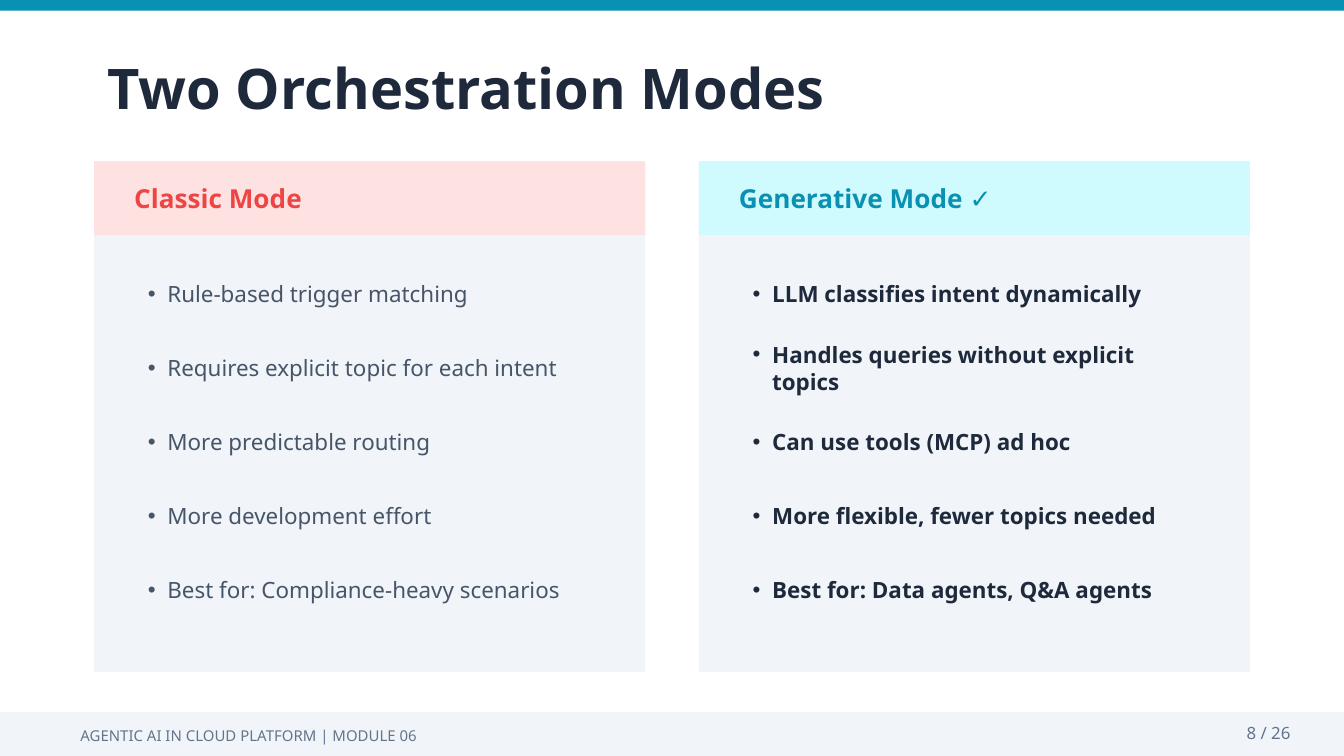
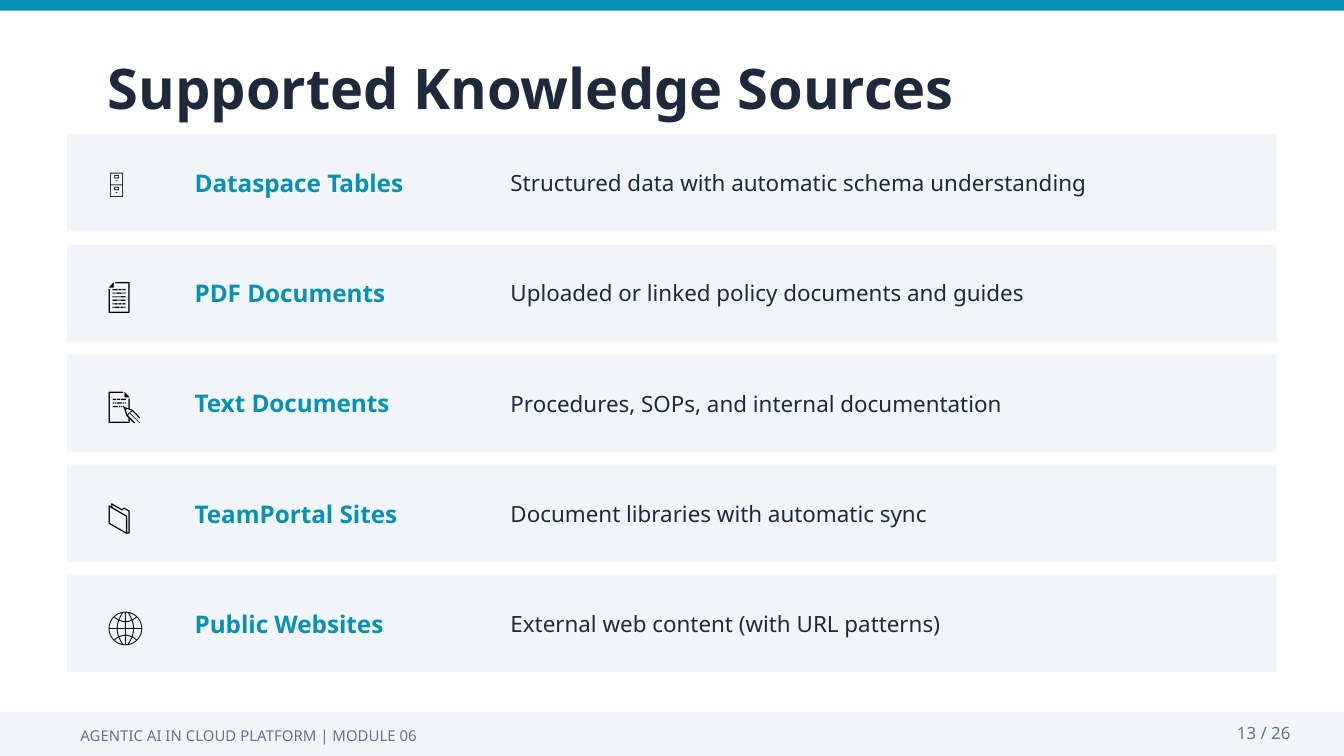
from pptx import Presentation
from pptx.dml.color import RGBColor
from pptx.enum.shapes import MSO_SHAPE
from pptx.enum.text import MSO_ANCHOR, MSO_AUTO_SIZE, PP_ALIGN
from pptx.util import Pt

WIDE, HIGH = 720, 405
PAGES = 26
COLORS = {
    "accent": "0891B2", "dark": "1E293B", "panel": "F1F5F9", "muted": "64748B",
    "slate": "475569", "red": "EF4444", "rose": "FEE2E2", "cyan": "CFFAFE",
    "black": "000000",
}
FRAME = {"word_wrap": True, "auto_size": MSO_AUTO_SIZE.NONE,
         "vertical_anchor": MSO_ANCHOR.MIDDLE}
FONTS = {
    "title": {"size": Pt(30), "bold": True, "name": "Noto Sans"},
    "head": {"size": Pt(14), "bold": True, "name": "Noto Sans"},
    "label": {"size": Pt(13), "bold": True, "name": "Noto Sans"},
    "strong": {"size": Pt(12), "bold": True, "name": "Noto Sans"},
    "plain": {"size": Pt(12), "bold": False, "name": "Noto Sans"},
    "page": {"size": Pt(9), "bold": False, "name": "Noto Sans"},
    "foot": {"size": Pt(8), "bold": False, "name": "Noto Sans"},
    "icon": {"size": Pt(18), "bold": False, "name": "Calibri"},
}
LINE, PITCH, HANG = 14.5, 39.6, 10.5

MODES = [
    ("Classic Mode", "red", "rose", "plain", "slate", [
        ("Rule-based trigger matching", 1),
        ("Requires explicit topic for each intent", 1),
        ("More predictable routing", 1),
        ("More development effort", 1),
        ("Best for: Compliance-heavy scenarios", 1),
    ]),
    ("Generative Mode ✓", "accent", "cyan", "strong", "dark", [
        ("LLM classifies intent dynamically", 1),
        ("Handles queries without explicit topics", 2),
        ("Can use tools (MCP) ad hoc", 1),
        ("More flexible, fewer topics needed", 1),
        ("Best for: Data agents, Q&A agents", 1),
    ]),
]
SOURCES = [
    ("🗄️", "Dataspace Tables", "Structured data with automatic schema understanding"),
    ("📄", "PDF Documents", "Uploaded or linked policy documents and guides"),
    ("📝", "Text Documents", "Procedures, SOPs, and internal documentation"),
    ("📁", "TeamPortal Sites", "Document libraries with automatic sync"),
    ("🌐", "Public Websites", "External web content (with URL patterns)"),
]


def apply(target, values):
    """Set each named attribute on the target."""
    for name, value in values.items():
        setattr(target, name, value)


def place(shape, left, top, width, height):
    """Move and size a shape, in points."""
    apply(shape, {"left": Pt(left), "top": Pt(top),
                  "width": Pt(width), "height": Pt(height)})


def write(par, text, font, color, align=PP_ALIGN.LEFT):
    """Fill one paragraph with styled text."""
    par.alignment = align
    run = par.add_run()
    run.text = text
    apply(run.font, FONTS[font])
    run.font.color.rgb = RGBColor.from_string(COLORS[color])


def add_band(slide, box, color):
    """Draw a plain filled rectangle."""
    band = slide.shapes.add_shape(MSO_SHAPE.RECTANGLE, *map(Pt, box))
    band.shadow.inherit = False
    band.fill.solid()
    band.fill.fore_color.rgb = RGBColor.from_string(COLORS[color])
    band.line.fill.background()


def add_text(slide, box, text, font, color, align=PP_ALIGN.LEFT):
    """Add one line of text, centred in height."""
    frame = slide.shapes.add_textbox(*map(Pt, box)).text_frame
    apply(frame, FRAME)
    write(frame.paragraphs[0], text, font, color, align)


def add_slide(deck, layout, title, page):
    """Start a slide with the shared bands, title and footer."""
    slide = deck.slides.add_slide(deck.slide_layouts[layout])
    head = slide.shapes.title
    place(head, 50.4, 25.2, 576, 43.2)
    apply(head.text_frame, FRAME)
    write(head.text_frame.paragraphs[0], title, "title", "dark")
    add_band(slide, (0, 0, WIDE, 5.76), "accent")
    add_band(slide, (0, 381.6, WIDE, 23.76), "panel")
    add_text(slide, (36, 383.76, 432, 20.16),
             "AGENTIC AI IN CLOUD PLATFORM | MODULE 06", "foot", "muted")
    add_text(slide, (626.4, 382, 72, 21.6), f"{page} / {PAGES}",
             "page", "muted", PP_ALIGN.RIGHT)
    return slide


def fill_list(holder, items, font, color):
    """Write bullets whose middles stand at an equal pitch."""
    frame = holder.text_frame
    apply(frame, FRAME | {"vertical_anchor": MSO_ANCHOR.TOP})
    last = None
    for text, lines in items:
        par = frame.add_paragraph() if last else frame.paragraphs[0]
        gap = PITCH - LINE * (last + lines) / 2 if last else 0
        apply(par, {"line_spacing": Pt(LINE), "space_before": Pt(gap),
                    "space_after": Pt(0)})
        props = par._p.get_or_add_pPr()
        props.set("marL", str(Pt(HANG)))
        props.set("indent", str(-Pt(HANG)))
        write(par, text, font, color)
        last = lines


def add_mode(slide, holder, left, mode):
    """Draw one mode panel with its heading and list."""
    name, ink, tint, font, color, items = mode
    add_band(slide, (left, 86.4, 295.2, 273.6), "panel")
    add_band(slide, (left, 86.4, 295.2, 39.6), tint)
    add_text(slide, (left + 14.4, 90, 266.4, 32.4), name, "head", ink)
    place(holder, left + 21.6, 146.5, 252, 190)
    fill_list(holder, items, font, color)
    slide.shapes._spTree.append(holder._element)


def add_source(slide, top, source):
    """Draw one row with icon, name and note."""
    icon, name, note = source
    add_band(slide, (36, top, 648, 51.84), "panel")
    add_text(slide, (50.4, top + 8.64, 36, 36), icon, "icon", "black")
    add_text(slide, (97.2, top + 10.8, 165.6, 30.24), name, "label", "accent")
    add_text(slide, (266.4, top + 10.8, 403.2, 30.24), note, "plain", "dark")


def main():
    """Build and save both slides."""
    deck = Presentation()
    apply(deck, {"slide_width": Pt(WIDE), "slide_height": Pt(HIGH)})

    slide = add_slide(deck, 3, "Two Orchestration Modes", 8)
    holders = list(slide.placeholders)[1:]
    for col, (holder, mode) in enumerate(zip(holders, MODES)):
        add_mode(slide, holder, 50.4 + col * 324, mode)

    slide = add_slide(deck, 5, "Supported Knowledge Sources", 13)
    for row, source in enumerate(SOURCES):
        add_source(slide, 72 + row * 59.04, source)

    deck.save("out.pptx")


if __name__ == "__main__":
    main()
